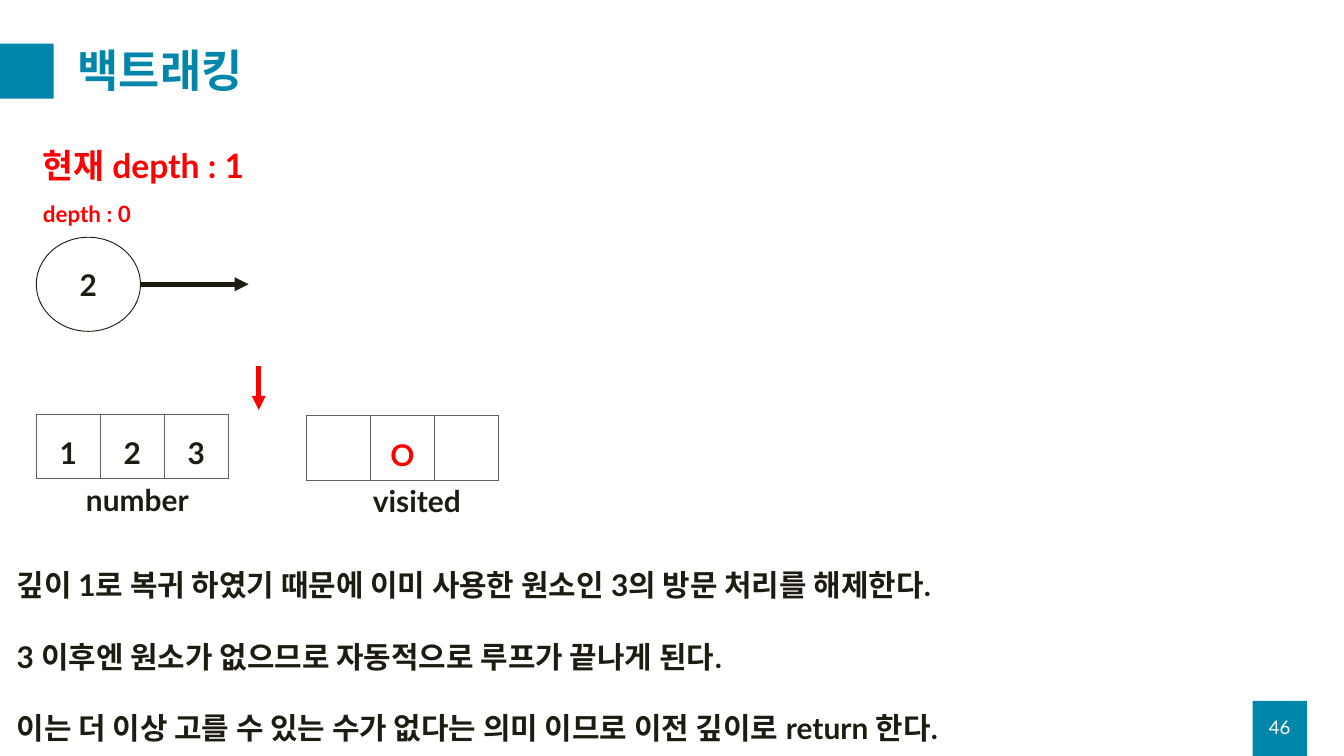
import pptx
import pptx.util
import pptx.dml.color
import pptx.enum.shapes
import pptx.enum.text
import pptx.oxml
import pptx.oxml.ns

Pt = pptx.util.Pt
MSO = pptx.enum.shapes.MSO_SHAPE
ALIGN = pptx.enum.text.PP_ALIGN
ANCHOR = pptx.enum.text.MSO_ANCHOR
NS = pptx.oxml.ns.nsdecls("a")
TEAL, INK, RED, WHITE, GRAY = "0086AB", "1E1C11", "FF0000", "FFFFFF", "5F5F5F"


def color(value):
    return pptx.dml.color.RGBColor.from_string(value)


def write(p, text, size, ink, bold=True):
    r = p.add_run()
    r.text = text
    r.font.name = "Lato"
    r.font.size = Pt(size)
    r.font.bold = bold
    r.font.color.rgb = color(ink)


prs = pptx.Presentation()
prs.slide_width, prs.slide_height = Pt(1440), Pt(810)
s = prs.slides.add_slide(prs.slide_layouts[6])

for x, y in [(1342, 751), (-0.7, 46.8)]:
    sp = s.shapes.add_shape(MSO.RECTANGLE, Pt(x), Pt(y), Pt(58.3), Pt(59))
    sp.shadow.inherit = False
    sp.fill.solid()
    sp.fill.fore_color.rgb = color(TEAL)
    sp.line.fill.background()

for x, y, w, h, size, ink, bold, align, anchor, spacing, lines in [
    (76.3, 36, 1314, 85, 48, TEAL, True, ALIGN.LEFT, ANCHOR.MIDDLE, 0.9, ["백트래킹"]),
    (1342, 757.4, 58.3, 43.2, 20, WHITE, False, ALIGN.CENTER, ANCHOR.MIDDLE, 1, ["46"]),
    (85, 512.6, 141.8, 46, 32, INK, True, ALIGN.LEFT, ANCHOR.TOP, 1, ["number"]),
    (392.4, 514, 141.8, 46, 32, INK, True, ALIGN.LEFT, ANCHOR.TOP, 1, ["visited"]),
    (38.9, 211, 111.6, 36, 24, RED, True, ALIGN.LEFT, ANCHOR.TOP, 1, ["depth : 0"]),
    (38.9, 152, 472.3, 51, 36, RED, True, ALIGN.LEFT, ANCHOR.TOP, 1, ["현재 depth : 1"]),
    (10.8, 603.4, 1379.5, 201, 32, INK, True, ALIGN.LEFT, ANCHOR.TOP, 1, [
        "깊이 1로 복귀 하였기 때문에 이미 사용한 원소인 3의 방문 처리를 해제한다.",
        "3 이후엔 원소가 없으므로 자동적으로 루프가 끝나게 된다.",
        "이는 더 이상 고를 수 있는 수가 없다는 의미 이므로 이전 깊이로 return 한다.",
    ]),
]:
    tf = s.shapes.add_textbox(Pt(x), Pt(y), Pt(w), Pt(h)).text_frame
    tf.word_wrap = True
    tf.vertical_anchor = anchor
    for i, line in enumerate(lines):
        p = tf.add_paragraph() if i else tf.paragraphs[0]
        p.alignment = align
        p.line_spacing = spacing
        if i:
            p.space_before = Pt(38.4)
        write(p, line, size, ink, bold)

for x, y, values, ink in [
    (38.9, 443.5, ["1", "2", "3"], INK),
    (328.3, 445.5, ["", "O", ""], RED),
]:
    table = s.shapes.add_table(1, 3, Pt(x), Pt(y), Pt(205.8), Pt(69)).table
    for i, value in enumerate(values):
        table.columns[i].width = Pt(68.6)
        cell = table.cell(0, i)
        tcPr = cell._tc.get_or_add_tcPr()
        for side in ["lnL", "lnR", "lnT", "lnB"]:
            tcPr.append(pptx.oxml.parse_xml(
                f'<a:{side} {NS} w="12700"><a:solidFill><a:srgbClr val="{GRAY}"/>'
                f'</a:solidFill></a:{side}>'))
        cell.fill.solid()
        cell.fill.fore_color.rgb = color(WHITE)
        if value:
            p = cell.text_frame.paragraphs[0]
            p.alignment = ALIGN.CENTER
            p.line_spacing = 1.5
            write(p, value, 32, ink)

sp = s.shapes.add_shape(MSO.OVAL, Pt(38.9), Pt(254.2), Pt(111.6), Pt(100.8))
sp.shadow.inherit = False
sp.fill.solid()
sp.fill.fore_color.rgb = color(WHITE)
sp.line.color.rgb = color(INK)
sp.line.width = Pt(1)
tf = sp.text_frame
tf.vertical_anchor = ANCHOR.MIDDLE
p = tf.paragraphs[0]
p.alignment = ALIGN.CENTER
write(p, "2", 32, INK)

for x1, y1, x2, y2, ink in [
    (150.5, 304.6, 266.4, 304.6, INK),
    (277.2, 392.4, 277.2, 439.2, RED),
]:
    arrow = s.shapes.add_connector(
        pptx.enum.shapes.MSO_CONNECTOR.STRAIGHT, Pt(x1), Pt(y1), Pt(x2), Pt(y2))
    arrow.line.color.rgb = color(ink)
    arrow.line.width = Pt(5)
    arrow.line._get_or_add_ln().append(
        pptx.oxml.parse_xml(f'<a:tailEnd {NS} type="triangle"/>'))
    arrow._element.spPr.append(pptx.oxml.parse_xml(f"<a:effectLst {NS}/>"))

prs.save("out.pptx")
